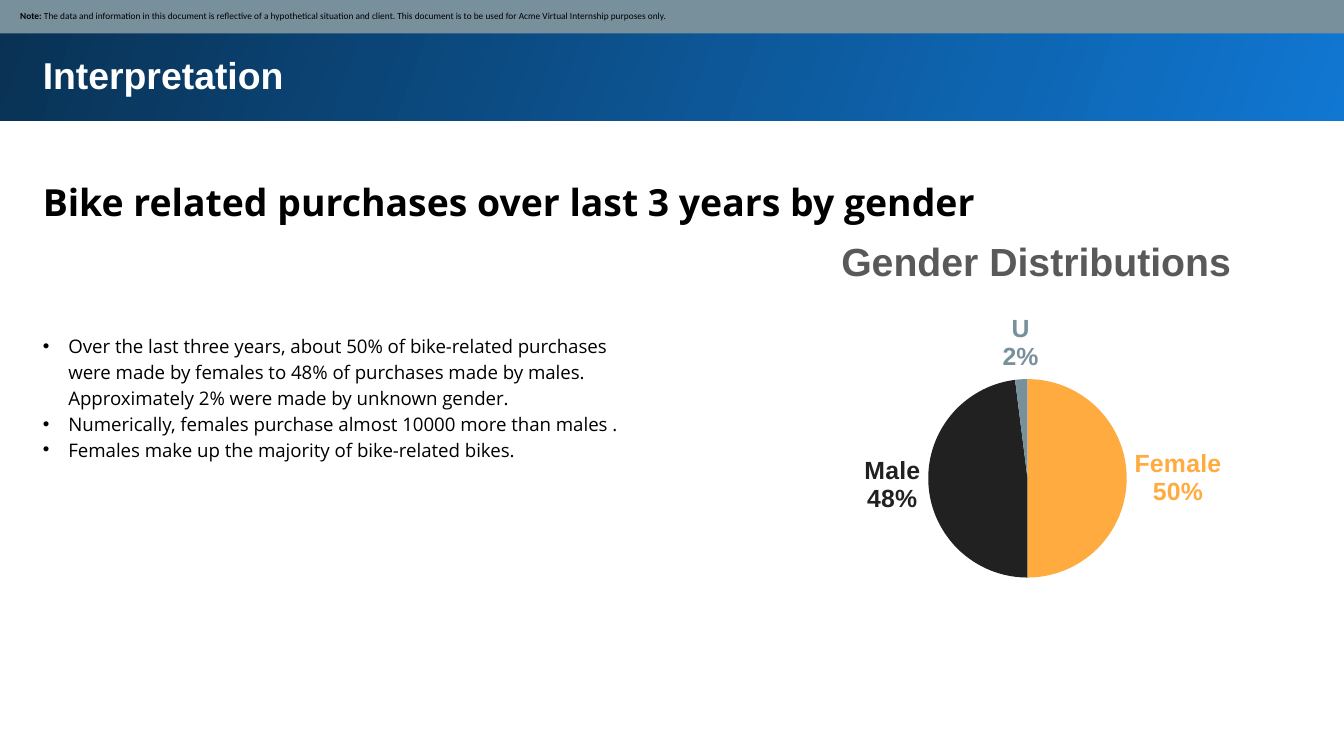
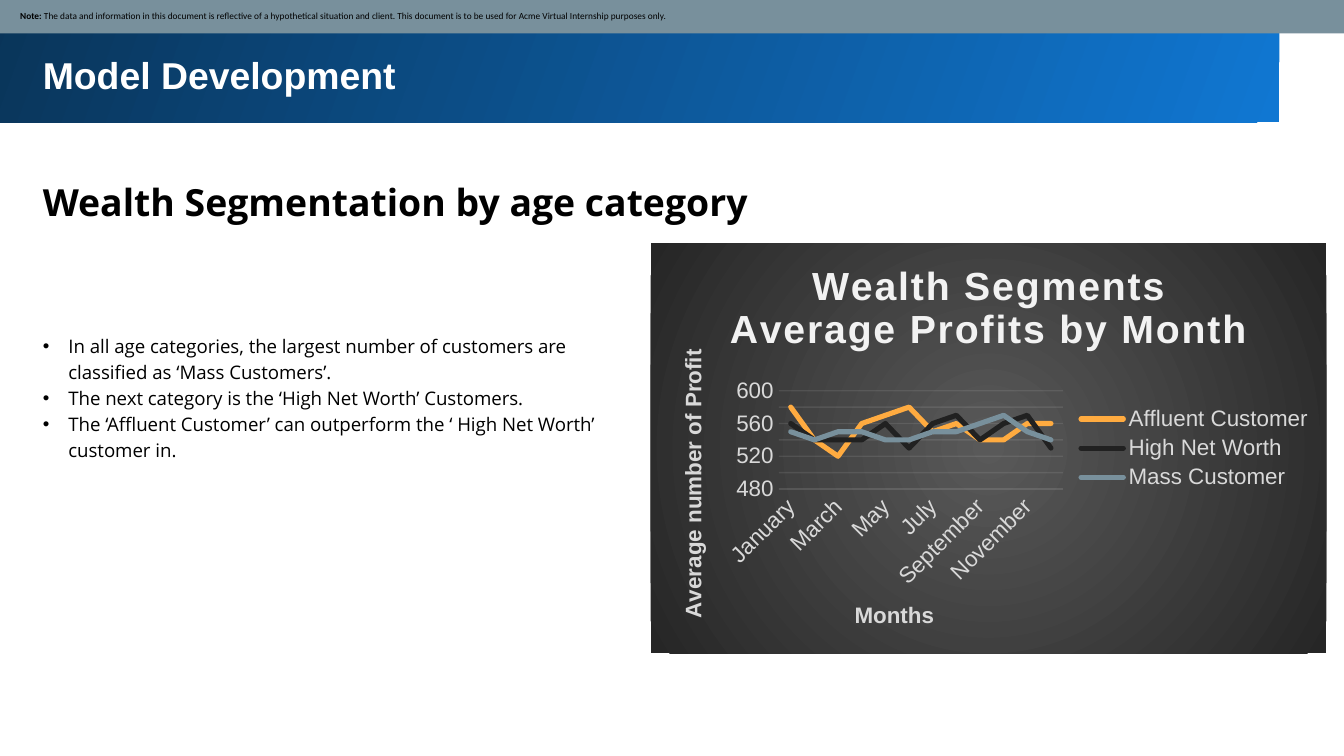
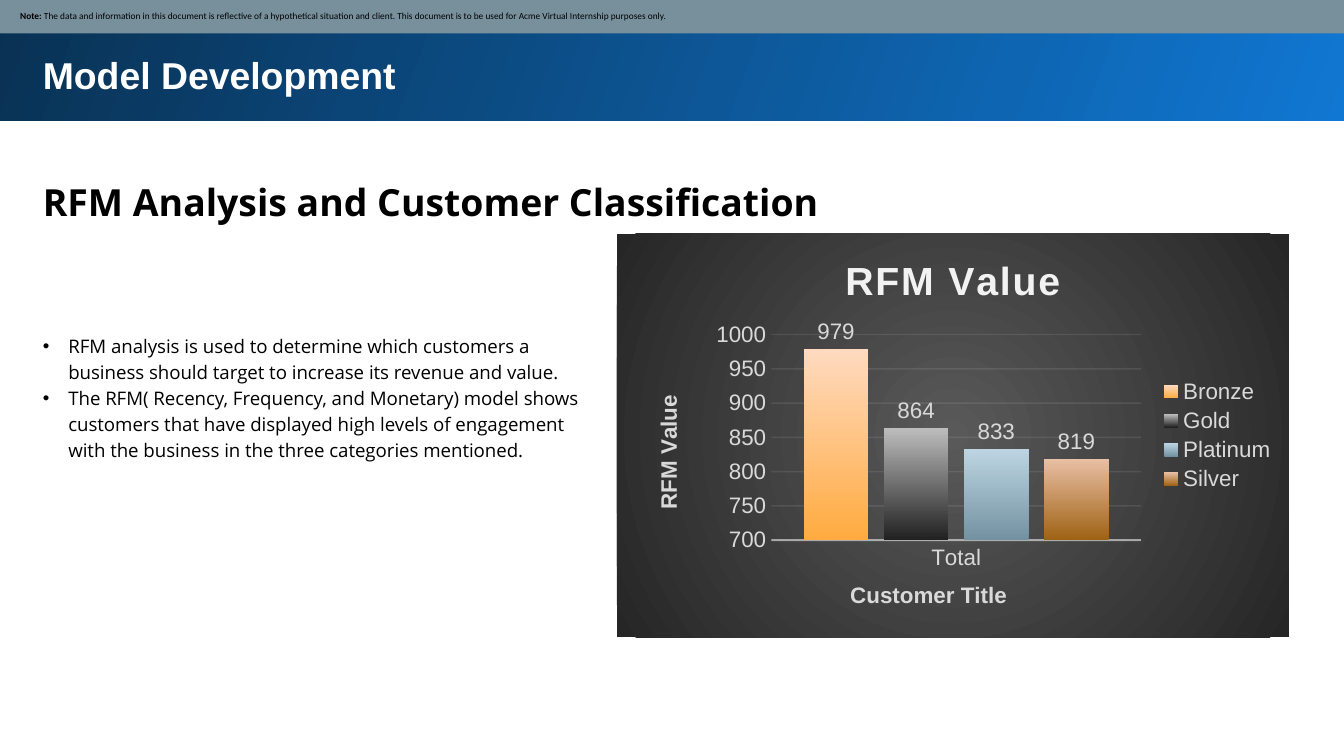
from dataclasses import dataclass

from pptx import Presentation
from pptx import util as u
from pptx.chart.data import CategoryChartData
from pptx.dml.color import RGBColor
from pptx.enum import chart as charts, shapes, text
from pptx.oxml import parse_xml
from pptx.oxml.ns import nsdecls, qn


@dataclass(frozen=True)
class Theme:
    band_light: str = "1077D2"
    band_dark: str = "093153"
    note_fill: str = "78909C"
    white: str = "FFFFFF"
    black: str = "000000"
    amber: str = "FFAB40"
    charcoal: str = "212121"
    slate: str = "78909C"
    pie_title: str = "595959"
    panel_center: str = "595959"
    panel_edge: str = "262626"
    panel_title: str = "F2F2F2"
    panel_text: str = "D9D9D9"
    title_font: str = "Arial"
    body_font: str = "Open Sans"
    note_font: str = "Calibri"
    heading_size: float = 20
    body_size: float = 10
    note_size: float = 5
    chart_title_size: float = 21
    chart_text_size: float = 12
    pie_label_size: float = 13.3


THEME = Theme()
LEFT = 0.22
NOTE = ("The data and information in this document is reflective of a hypothetical situation "
        "and client. This document is to be used for Acme Virtual Internship purposes only. ")
MONTHS = ["January", "February", "March", "April", "May", "June", "July", "August",
          "September", "October", "November", "December"]


def rgb(value):
    return RGBColor.from_string(value)


def box(left, top, width, height):
    return [u.Inches(length) for length in (left, top, width, height)]


def style(font, face, size, color, bold=False):
    font.name, font.size, font.bold = face, u.Pt(size), bold
    font.color.rgb = rgb(color)


def chart_style(font, size=THEME.chart_text_size, color=THEME.panel_text, bold=False):
    style(font, THEME.title_font, size, color, bold)


def linear_gradient(fill, start, end, angle):
    fill.gradient()
    fill.gradient_angle = angle
    for stop, color in zip(fill.gradient_stops, (start, end)):
        stop.color.rgb = rgb(color)


def faint_line(line, width, opacity):
    line.color.rgb = rgb(THEME.panel_title)
    line.width = u.Pt(width)
    color = line._get_or_add_ln().find(".//" + qn("a:srgbClr"))
    color.append(parse_xml(f'<a:alpha {nsdecls("a")} val="{opacity * 1000}"/>'))


def add_rectangle(slide, place):
    rectangle = slide.shapes.add_shape(shapes.MSO_SHAPE.RECTANGLE, *box(*place))
    rectangle.shadow.inherit = False
    rectangle.line.fill.background()
    return rectangle


def add_frame(slide, place):
    frame = slide.shapes.add_textbox(*box(*place)).text_frame
    frame.word_wrap = True
    frame.margin_left = frame.margin_right = u.Inches(0.1)
    frame.margin_top = frame.margin_bottom = u.Inches(0.1)
    return frame


def add_heading(slide, place, words, face, color, spacing=1.0):
    paragraph = add_frame(slide, place).paragraphs[0]
    paragraph.text = words
    paragraph.line_spacing = spacing
    style(paragraph.font, face, THEME.heading_size, color, True)


def add_findings(slide, width, height, findings):
    frame = add_frame(slide, (LEFT, 2.37, width, height))
    for index, finding in enumerate(findings):
        paragraph = frame.add_paragraph() if index else frame.paragraphs[0]
        paragraph.text = finding
        paragraph.line_spacing = 1.15
        properties = paragraph._p.get_or_add_pPr()
        properties.set("marL", str(u.Inches(0.19)))
        properties.set("indent", str(-u.Inches(0.19)))
        properties.append(parse_xml(f'<a:buFont {nsdecls("a")} typeface="{THEME.title_font}"/>'))
        properties.append(parse_xml(f'<a:buChar {nsdecls("a")} char="•"/>'))
        style(paragraph.font, THEME.body_font, THEME.body_size, THEME.black)


def add_note(slide):
    strip = add_rectangle(slide, (-0.01, -0.01, 10.03, 0.26))
    strip.fill.solid()
    strip.fill.fore_color.rgb = rgb(THEME.note_fill)
    frame = strip.text_frame
    frame.word_wrap = True
    frame.vertical_anchor = text.MSO_ANCHOR.MIDDLE
    frame.margin_left = u.Inches(0.16)
    frame.margin_right = frame.margin_top = frame.margin_bottom = u.Inches(0.05)
    paragraph = frame.paragraphs[0]
    paragraph.alignment = text.PP_ALIGN.LEFT
    for words, bold in (("Note: ", True), (NOTE, False)):
        run = paragraph.add_run()
        run.text = words
        style(run.font, THEME.note_font, THEME.note_size, THEME.black, bold)


def add_page(deck, title, heading, findings, findings_size, title_height, band_at=(-0.02, -0.02)):
    slide = deck.slides.add_slide(deck.slide_layouts[6])
    band = add_rectangle(slide, (*band_at, 10.05, 0.92))
    linear_gradient(band.fill, THEME.band_light, THEME.band_dark, 160)
    add_heading(slide, (LEFT, 0.29, 9.37, title_height), title, THEME.title_font, THEME.white)
    add_heading(slide, (LEFT, 1.18, 9.37, 0.56), heading, THEME.body_font, THEME.black, 1.15)
    add_findings(slide, *findings_size, findings)
    add_note(slide)
    return slide


def write_title(frame, lines, size, color, spacing=0):
    for index, line in enumerate(lines):
        paragraph = frame.add_paragraph() if index else frame.paragraphs[0]
        paragraph.text = line
        chart_style(paragraph.font, size, color, True)
        if spacing:
            paragraph.font._element.set("spc", str(spacing))


def set_layout(element, index, target, numbers):
    for layout in element.findall(qn("c:layout")):
        element.remove(layout)
    sizes = "".join(f'<c:{tag} val="{value}"/>' for tag, value in zip("xywh", numbers))
    element.insert(index, parse_xml(
        f'<c:layout {nsdecls("c")}><c:manualLayout>{target}'
        f'<c:xMode val="edge"/><c:yMode val="edge"/>{sizes}</c:manualLayout></c:layout>'))


def add_chart(slide, kind, place, categories, values, plot_area):
    data = CategoryChartData()
    data.categories = categories
    for name, numbers in values.items():
        data.add_series(name, numbers)
    chart = slide.shapes.add_chart(kind, *box(*place), data).chart
    chart_style(chart.font, THEME.body_size, THEME.black)
    chart.has_title = True
    chart.has_legend = False
    set_layout(chart._chartSpace.find(".//" + qn("c:plotArea")), 0,
               '<c:layoutTarget val="inner"/>', plot_area)
    return chart


def paint_panel(chart):
    stops = "".join(f'<a:gs pos="{position}"><a:srgbClr val="{color}"/></a:gs>' for position, color
                    in ((0, THEME.panel_center), (100000, THEME.panel_edge)))
    chart._chartSpace.find(qn("c:chart")).addnext(parse_xml(
        f'<c:spPr {nsdecls("c", "a")}><a:gradFill><a:gsLst>{stops}</a:gsLst>'
        '<a:path path="circle"><a:fillToRect l="50000" t="50000" r="50000" b="50000"/></a:path>'
        '</a:gradFill><a:ln><a:noFill/></a:ln></c:spPr>'))


def dress_dark_chart(chart, title, category_title, value_title, scale, axis_line):
    paint_panel(chart)
    write_title(chart.chart_title.text_frame, title, THEME.chart_title_size,
                THEME.panel_title, 100)
    chart.has_legend = True
    chart.legend.position = charts.XL_LEGEND_POSITION.RIGHT
    chart.legend.include_in_layout = False
    chart_style(chart.legend.font)
    categories, amounts = chart.category_axis, chart.value_axis
    for axis, words in ((categories, category_title), (amounts, value_title)):
        write_title(axis.axis_title.text_frame, [words], THEME.chart_text_size, THEME.panel_text)
        axis.major_tick_mark = axis.minor_tick_mark = charts.XL_TICK_MARK.NONE
        chart_style(axis.tick_labels.font)
    amounts.minimum_scale, amounts.maximum_scale, amounts.major_unit = scale
    amounts.format.line.fill.background()
    faint_line(amounts.major_gridlines.format.line, 0.75, 10)
    faint_line(categories.format.line, *axis_line)


def add_gender_pie(slide):
    chart = add_chart(slide, charts.XL_CHART_TYPE.PIE, (5.56, 1.6, 4.3, 2.84),
                      ["Female", "Male", "U"], {"Series 1": (50, 48, 2)},
                      (0.31, 0.43, 0.35, 0.52))
    write_title(chart.chart_title.text_frame, ["Gender Distributions"],
                THEME.chart_title_size, THEME.pie_title)
    genders = chart.plots[0].series[0]
    labels = genders.data_labels
    labels.show_value = False
    labels.show_category_name = labels.show_percentage = True
    labels.position = charts.XL_LABEL_POSITION.OUTSIDE_END
    for index, color in enumerate((THEME.amber, THEME.charcoal, THEME.slate)):
        slice_ = genders.points[index]
        slice_.format.fill.solid()
        slice_.format.fill.fore_color.rgb = rgb(color)
        label = slice_.data_label
        chart_style(label.font, THEME.pie_label_size, color, True)
        label.position = charts.XL_LABEL_POSITION.OUTSIDE_END
        element = label._get_or_add_dLbl()
        for tag, shown in (("showVal", 0), ("showCatName", 1), ("showPercent", 1)):
            element.find(qn("c:" + tag)).set("val", str(shown))
        element.append(parse_xml(f'<c:separator {nsdecls("c")}>\n</c:separator>'))


def add_profit_lines(slide):
    profits = {
        "Affluent Customer": (580, 540, 520, 560, 570, 580, 550, 560, 540, 540, 560, 560),
        "High Net Worth": (560, 540, 540, 540, 560, 530, 560, 570, 540, 560, 570, 530),
        "Mass Customer": (550, 540, 550, 550, 540, 540, 550, 550, 560, 570, 550, 540),
    }
    chart = add_chart(slide, charts.XL_CHART_TYPE.LINE, (4.84, 1.81, 5.03, 3.05),
                      MONTHS, profits, (0.19, 0.36, 0.42, 0.24))
    dress_dark_chart(chart, ["Wealth Segments", "Average Profits by Month"], "Months",
                     "Average number of Profit", (480, 600, 20), (0.75, 10))
    labels = chart.category_axis._element.find(qn("c:txPr"))
    labels.find(qn("a:bodyPr")).set("rot", str(-45 * 60000))
    for segment, color in zip(chart.plots[0].series,
                              (THEME.amber, THEME.charcoal, THEME.slate)):
        segment.smooth = False
        segment.format.line.color.rgb = rgb(color)
        segment.format.line.width = u.Pt(2.75)
        segment.format.line._get_or_add_ln().set("cap", "rnd")


def add_rfm_columns(slide):
    classes = {
        "Bronze": (979, THEME.amber, "FFDAC0"),
        "Gold": (864, THEME.charcoal, "BDBDBD"),
        "Platinum": (833, "7392A1", "BDD5E2"),
        "Silver": (819, "9F6214", "E9C0A5"),
    }
    chart = add_chart(slide, charts.XL_CHART_TYPE.COLUMN_CLUSTERED, (4.59, 1.74, 5, 3), ["Total"],
                      {name: (value,) for name, (value, *_) in classes.items()},
                      (0.23, 0.25, 0.55, 0.51))
    dress_dark_chart(chart, ["RFM Value"], "Customer Title", "RFM Value",
                     (700, 1000, 50), (1, 54))
    set_layout(chart.value_axis.axis_title._element, 1, "", (0.05, 0.39))
    columns = chart.plots[0]
    columns.gap_width, columns.overlap, columns.vary_by_categories = 100, -24, False
    for tier, (_, bottom, top) in zip(columns.series, classes.values()):
        linear_gradient(tier.format.fill, bottom, top, 90)
        tier.data_labels.show_value = True
        tier.data_labels.position = charts.XL_LABEL_POSITION.OUTSIDE_END
        chart_style(tier.data_labels.font)


def main():
    deck = Presentation()
    deck.slide_width, deck.slide_height = u.Inches(10), u.Inches(10 * 9 / 16)

    gender = add_page(deck, "Interpretation", "Bike related purchases over last 3 years by gender", [
        "Over the last three years, about 50% of bike-related purchases were made by females to "
        "48% of purchases made by males. Approximately 2% were made by unknown gender.",
        "Numerically, females purchase almost 10000 more than males .",
        "Females make up the majority of bike-related bikes.",
    ], (4.52, 1.15), 0.83)
    add_gender_pie(gender)

    wealth = add_page(deck, "Model Development", "Wealth Segmentation by age category", [
        "In all age categories, the largest number of customers are classified as "
        "‘Mass Customers’.",
        "The next category is the ‘High Net Worth’ Customers.",
        "The ‘Affluent Customer’ can outperform the ‘ High Net Worth’ customer in.",
    ], (4.52, 1.35), 0.54, (-0.53, -0.01))
    add_profit_lines(wealth)

    rfm = add_page(deck, "Model Development", "RFM Analysis and Customer Classification", [
        "RFM analysis is used to determine which customers a business should target to increase "
        "its revenue and value.",
        "The RFM( Recency, Frequency, and Monetary) model shows customers that have displayed "
        "high levels of engagement with the business in the three categories mentioned.",
    ], (4.27, 1.35), 0.88)
    add_rfm_columns(rfm)

    deck.save("out.pptx")


main()
